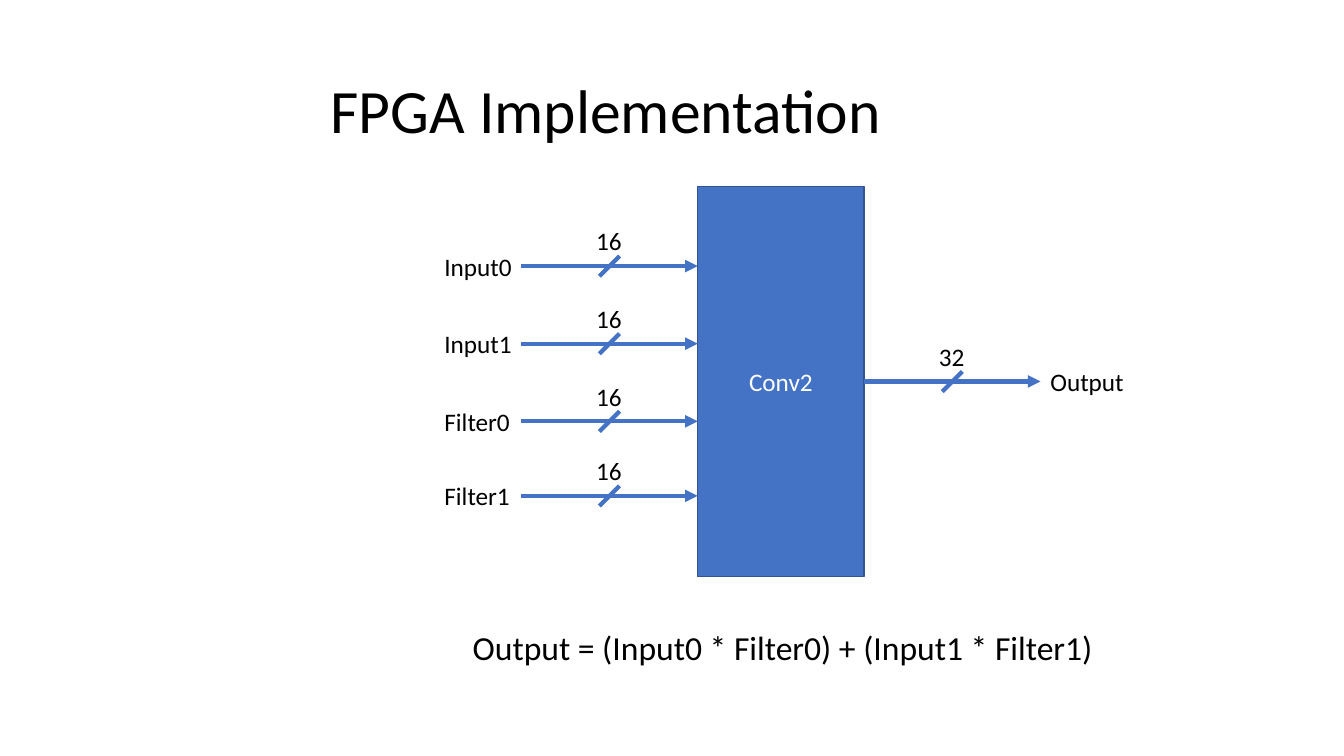
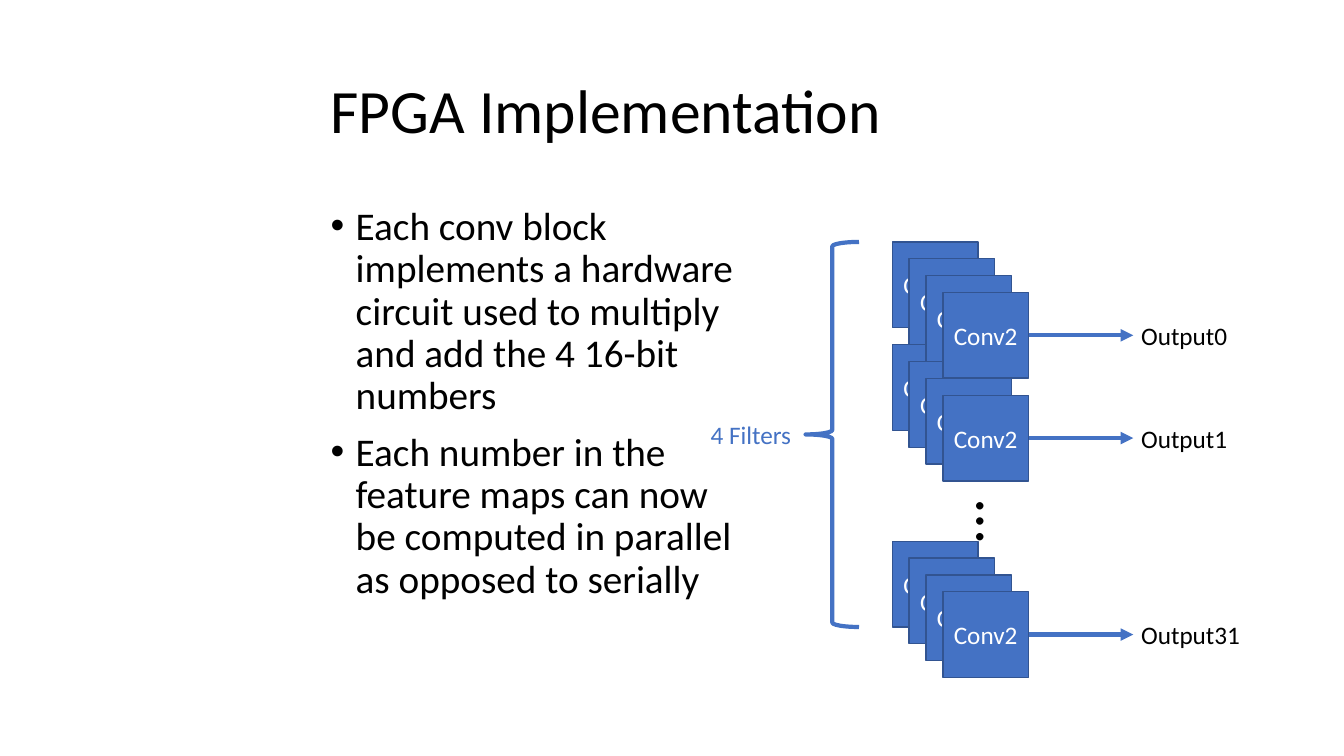
"""Build two slides on a convolution block implemented in an FPGA."""
from dataclasses import dataclass
from typing import Any

from lxml.etree import SubElement
from pptx import Presentation
from pptx.dml.color import RGBColor
from pptx.enum.shapes import MSO_CONNECTOR as Connector, MSO_SHAPE as Preset
from pptx.enum.text import MSO_ANCHOR as Anchor, MSO_AUTO_SIZE as AutoSize, PP_ALIGN as Align
from pptx.oxml.ns import qn
from pptx.util import Inches, Pt


@dataclass(frozen=True)
class Theme:
    font: str = "Calibri"
    black: RGBColor = RGBColor(0x00, 0x00, 0x00)
    white: RGBColor = RGBColor(0xFF, 0xFF, 0xFF)
    blue: RGBColor = RGBColor(0x44, 0x72, 0xC4)
    edge: RGBColor = RGBColor(0x32, 0x54, 0x91)
    title_size: int = 44
    body_size: int = 28
    formula_size: int = 24
    label_size: int = 18
    wire_width: int = 3
    edge_width: int = 1


@dataclass(frozen=True)
class Box:
    left: float
    top: float
    width: float
    height: float

    @property
    def right(self) -> float:
        return self.left + self.width

    @property
    def middle(self) -> float:
        return self.top + self.height / 2

    def lengths(self) -> list[int]:
        return [Inches(value) for value in (self.left, self.top, self.width, self.height)]


@dataclass(frozen=True)
class Signal:
    name: str
    bits: str
    start: float
    y: float
    label: Box


@dataclass(frozen=True)
class BlockRow:
    output: str
    top: float
    label_width: float


THEME = Theme()
LABEL_HEIGHT = 0.4
TITLE_BOX = Box(3.18, 0.4, 9.24, 1.45)
CONV_BOX = Box(6.92, 1.85, 1.65, 3.87)
WIRE_LENGTH = 1.75
INPUTS = {"Input0": 2.64, "Input1": 3.41, "Filter0": 4.18, "Filter1": 4.92}
ROWS = [BlockRow("Output0", 2.4, 1.06), BlockRow("Output1", 3.42, 1.06), BlockRow("Output31", 5.37, 1.19)]
FILTER_COUNT = 4
FILTER_STEP = 0.167
BLOCK_LEFT = 8.85
BLOCK_SIDE = 0.85
OUTPUT_LEFT = 11.22
POINTS = [
    "Each conv block implements a hardware circuit used to multiply and add the 4 16-bit numbers",
    "Each number in the feature maps can now be computed in parallel as opposed to serially",
]


def apply_format(target: Any, values: dict[str, Any]) -> None:
    """Set each named attribute on the target."""
    for name, value in values.items():
        setattr(target, name, value)


def write_text(paragraph: Any, text: str, size: int, color: RGBColor) -> None:
    """Add one formatted run to a paragraph."""
    run = paragraph.add_run()
    run.text = text
    apply_format(run.font, {"name": THEME.font, "size": Pt(size)})
    run.font.color.rgb = color


def add_title_slide(presentation: Any, title: str) -> Any:
    """Add a title-only slide with the shared title style."""
    slide = presentation.slides.add_slide(presentation.slide_layouts[5])
    shape = slide.shapes.title
    apply_format(shape, dict(zip(("left", "top", "width", "height"), TITLE_BOX.lengths())))
    frame = shape.text_frame
    apply_format(frame, {"vertical_anchor": Anchor.MIDDLE, "auto_size": AutoSize.NONE, "word_wrap": True})
    paragraph = frame.paragraphs[0]
    apply_format(paragraph, {"alignment": Align.LEFT, "line_spacing": 0.9})
    write_text(paragraph, title, THEME.title_size, THEME.black)
    return slide


def add_label(shapes: Any, text: str, box: Box, size: int = THEME.label_size,
              color: RGBColor = THEME.black) -> Any:
    """Add a single-line text box."""
    shape = shapes.add_textbox(*box.lengths())
    apply_format(shape.text_frame, {"word_wrap": False, "auto_size": AutoSize.SHAPE_TO_FIT_TEXT})
    write_text(shape.text_frame.paragraphs[0], text, size, color)
    return shape


def add_block(shapes: Any, box: Box) -> Any:
    """Add a blue convolution block."""
    shape = shapes.add_shape(Preset.RECTANGLE, *box.lengths())
    shape.shadow.inherit = False
    shape.fill.solid()
    shape.fill.fore_color.rgb = THEME.blue
    shape.line.color.rgb = THEME.edge
    shape.line.width = Pt(THEME.edge_width)
    apply_format(shape.text_frame, {"vertical_anchor": Anchor.MIDDLE, "word_wrap": True})
    paragraph = shape.text_frame.paragraphs[0]
    paragraph.alignment = Align.CENTER
    write_text(paragraph, "Conv2", THEME.label_size, THEME.white)
    return shape


def add_wire(shapes: Any, start: tuple[float, float], end: tuple[float, float],
             arrow: bool = True, source: Any = None) -> None:
    """Add a blue line, with an arrowhead and a joined source if asked."""
    ends = [Inches(value) for value in (*start, *end)]
    wire = shapes.add_connector(Connector.STRAIGHT, *ends)
    wire.line.color.rgb = THEME.blue
    wire.line.width = Pt(THEME.wire_width)
    if arrow:
        SubElement(wire.line._get_or_add_ln(), qn("a:tailEnd"), type="triangle")
    SubElement(wire._element.spPr, qn("a:effectLst"))
    if source is not None:
        wire.begin_connect(source, 3)


def add_signal(shapes: Any, signal: Signal, source: Any = None) -> None:
    """Add a named wire crossed by a slash with its bit width."""
    center, y = signal.start + WIRE_LENGTH / 2, signal.y
    add_wire(shapes, (signal.start, y), (signal.start + WIRE_LENGTH, y), source=source)
    add_wire(shapes, (center - 0.1, y + 0.1), (center + 0.1, y - 0.1), arrow=False)
    add_label(shapes, signal.bits, Box(center - 0.23, y - 0.45, 0.46, LABEL_HEIGHT))
    name = add_label(shapes, signal.name, signal.label)
    name.text_frame.word_wrap = True


def add_points(slide: Any, box: Box) -> None:
    """Add the bulleted text."""
    frame = slide.shapes.add_textbox(*box.lengths()).text_frame
    frame.word_wrap = True
    for index, point in enumerate(POINTS):
        paragraph = frame.add_paragraph() if index else frame.paragraphs[0]
        apply_format(paragraph, {"line_spacing": 0.9, "space_before": Pt(10)})
        properties = paragraph._p.get_or_add_pPr()
        properties.set("marL", str(Inches(0.25)))
        properties.set("indent", str(Inches(-0.25)))
        SubElement(properties, qn("a:buFont"), typeface="Arial")
        SubElement(properties, qn("a:buChar"), char="•")
        write_text(paragraph, point, THEME.body_size, THEME.black)


def add_brace(slide: Any, box: Box) -> None:
    """Add the brace that spans the filters."""
    brace = slide.shapes.add_shape(Preset.LEFT_BRACE, *box.lengths())
    brace.shadow.inherit = False
    brace.fill.background()
    brace.line.color.rgb = THEME.blue
    brace.line.width = Pt(THEME.wire_width)


def build_block_slide(presentation: Any) -> None:
    """Show one convolution block with its inputs and output."""
    slide = add_title_slide(presentation, "FPGA Implementation")
    diagram = slide.shapes.add_group_shape().shapes
    block = add_block(diagram, CONV_BOX)
    for name, y in INPUTS.items():
        label = Box(4.31, y - LABEL_HEIGHT / 2, 0.87, LABEL_HEIGHT)
        add_signal(diagram, Signal(name, "16", CONV_BOX.left - WIRE_LENGTH, y, label))
    label = Box(CONV_BOX.right + WIRE_LENGTH, CONV_BOX.middle - LABEL_HEIGHT / 2, 0.97, LABEL_HEIGHT)
    add_signal(diagram, Signal("Output", "32", CONV_BOX.right, CONV_BOX.middle, label), block)
    add_label(slide.shapes, "Output = (Input0 * Filter0) + (Input1 * Filter1)",
              Box(4.59, 6.17, 6.4, 0.5), THEME.formula_size)


def build_parallel_slide(presentation: Any) -> None:
    """Show stacks of blocks that work in parallel."""
    slide = add_title_slide(presentation, "FPGA Implementation")
    shapes = slide.shapes
    add_points(slide, Box(3.18, 2, 4.31, 4.76))
    ellipsis = add_label(shapes, "…", Box(9.61, 4.76, 0.63, 0.84), THEME.title_size)
    ellipsis.rotation = 90
    for layer in range(FILTER_COUNT):
        shift = layer * FILTER_STEP
        for row in ROWS:
            box = Box(BLOCK_LEFT + shift, row.top + shift, BLOCK_SIDE, BLOCK_SIDE)
            block = add_block(shapes, box)
            if layer == FILTER_COUNT - 1:
                add_wire(shapes, (box.right, box.middle), (OUTPUT_LEFT + 0.02, box.middle), source=block)
                add_label(shapes, row.output, Box(OUTPUT_LEFT, box.middle - LABEL_HEIGHT / 2,
                                                  row.label_width, LABEL_HEIGHT))
    add_brace(slide, Box(7.99, ROWS[0].top, 0.53, ROWS[-1].top + BLOCK_SIDE - ROWS[0].top))
    add_label(shapes, "4 Filters", Box(6.95, 4.11, 1.01, LABEL_HEIGHT), color=THEME.blue)


def main() -> None:
    """Build and save the presentation."""
    presentation = Presentation()
    apply_format(presentation, {"slide_width": Inches(13.33), "slide_height": Inches(7.5)})
    build_block_slide(presentation)
    build_parallel_slide(presentation)
    presentation.save("out.pptx")


if __name__ == "__main__":
    main()
